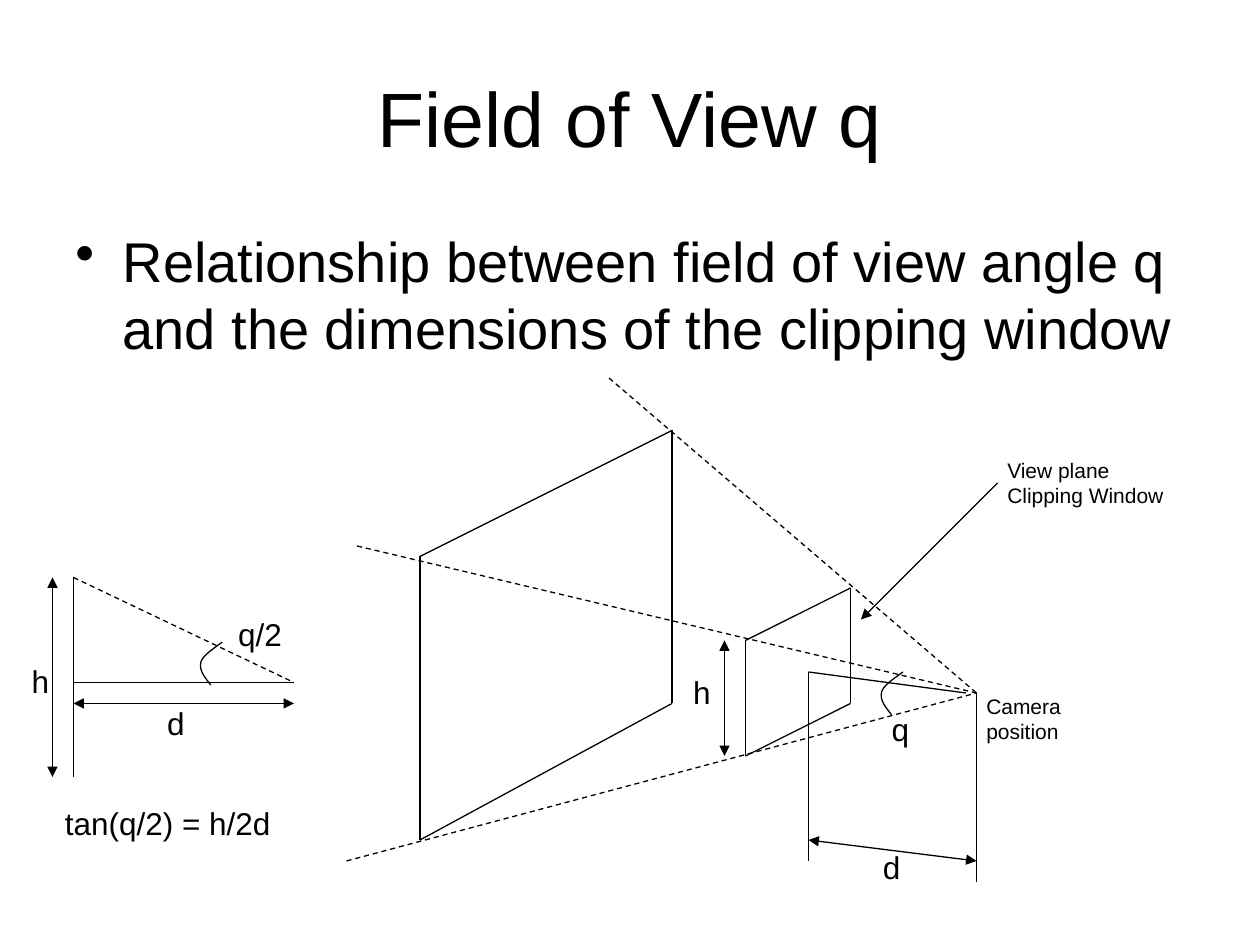
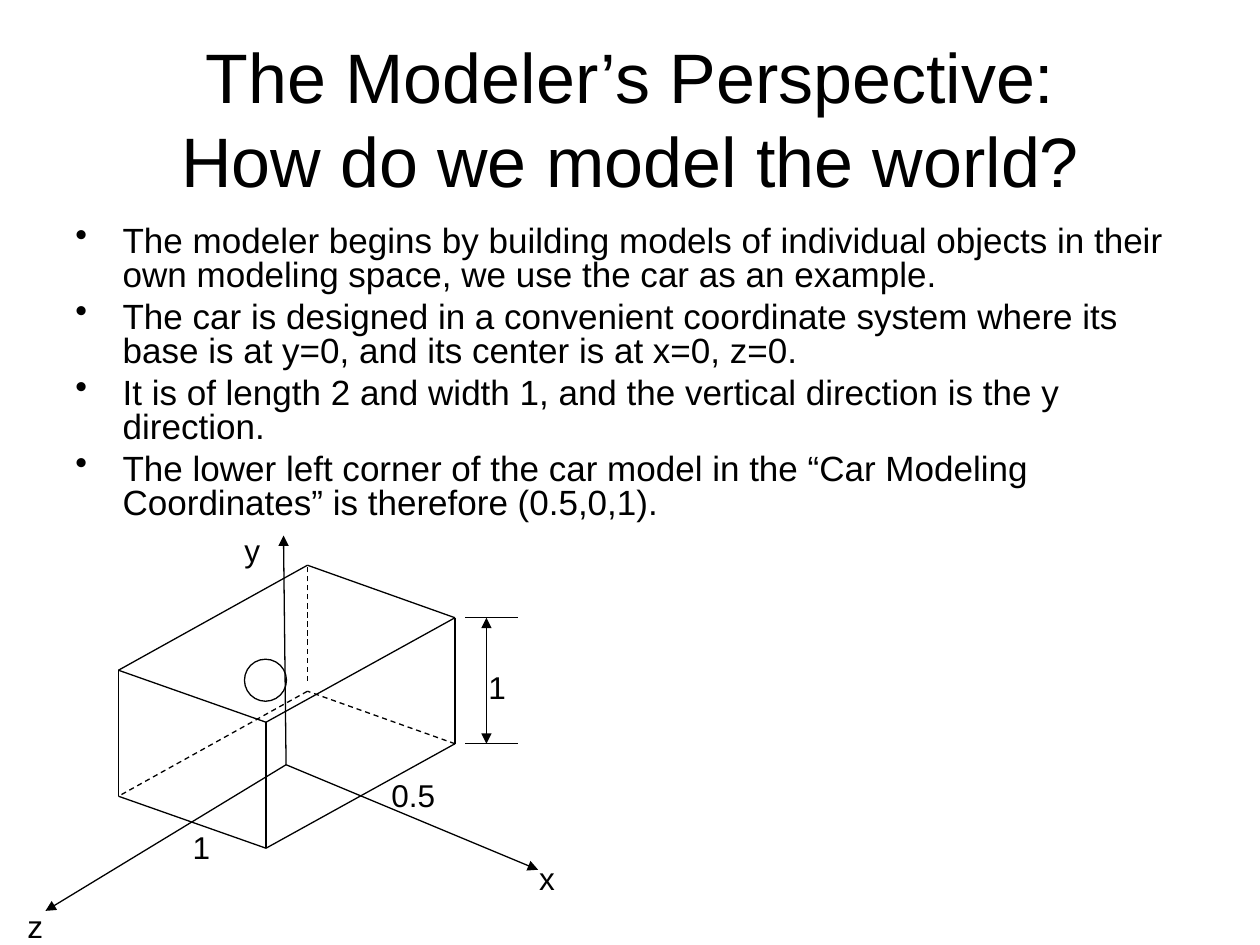
import pptx
import pptx.dml.color
import pptx.enum.dml
import pptx.enum.shapes
import pptx.enum.text
import pptx.oxml.ns
import pptx.oxml.xmlchemy
import pptx.util

Pt = pptx.util.Pt
BLACK = pptx.dml.color.RGBColor(0, 0, 0)
WHITE = pptx.dml.color.RGBColor(255, 255, 255)
FONT = "Arial"
ANCHOR = pptx.enum.text.MSO_ANCHOR
ALIGN = pptx.enum.text.PP_ALIGN
LINE_WIDTH = 0.75
INDENT = 27
ARC = (((13, 0), (7.2, 4.3), (1.4, 7.9), (0.7, 12)),
       ((0.7, 12), (0, 16.3), (2.9, 20), (6.5, 24.5)))


def set_attrs(obj, values):
    for name, value in values.items():
        setattr(obj, name, value)


def add_xml(parent, tag, **attrs):
    el = pptx.oxml.xmlchemy.OxmlElement(tag)
    for name, value in attrs.items():
        el.set(name, value)
    parent.append(el)


def add_slide(prs):
    s = prs.slides.add_slide(prs.slide_layouts[6])
    s.background.fill.solid()
    s.background.fill.fore_color.rgb = WHITE
    return s


def add_text(s, box, paragraphs, size, frame, para, bullet=False, gap=0):
    sp = s.shapes.add_textbox(*map(Pt, box))
    tf = sp.text_frame
    set_attrs(tf, frame)
    for i, text in enumerate(paragraphs):
        p = tf.add_paragraph() if i else tf.paragraphs[0]
        p.text = text
        if bullet:
            pPr = p._p.get_or_add_pPr()
            pPr.set("marL", str(Pt(INDENT)))
            pPr.set("indent", str(-Pt(INDENT)))
            add_xml(pPr, "a:buChar", char="•")
        set_attrs(p, {**para, "space_before": Pt(gap if i else 0)})
        for r in p.runs:
            set_attrs(r.font, {"name": FONT, "size": Pt(size)})
            r.font.color.rgb = BLACK


def add_title(s, top, height, text, size):
    add_text(s, (36, top, 648, height), [text], size,
             {"word_wrap": True, "vertical_anchor": ANCHOR.MIDDLE},
             {"alignment": ALIGN.CENTER})


def add_bullets(s, height, paragraphs, size, spacing=1.0, gap=0):
    add_text(s, (36, 126, 648, height), paragraphs, size, {"word_wrap": True},
             {"alignment": ALIGN.LEFT, "line_spacing": spacing}, True, gap)


def add_label(s, left, top, width, *lines, size=18):
    height = 7.2 + 1.2 * size * len(lines)
    add_text(s, (left, top, width, height), lines, size,
             {"word_wrap": False}, {"alignment": ALIGN.LEFT})


def style_line(sp, dashed=False):
    sp.line.color.rgb = BLACK
    sp.line.width = Pt(LINE_WIDTH)
    if dashed:
        sp.line.dash_style = pptx.enum.dml.MSO_LINE.DASH


def add_line(s, start, end, dashed=False, arrows=()):
    sp = s.shapes.add_connector(pptx.enum.shapes.MSO_CONNECTOR.STRAIGHT,
                                *map(Pt, start + end))
    style_line(sp, dashed)
    spPr = sp._element.spPr
    ln = spPr.find(pptx.oxml.ns.qn("a:ln"))
    for side in arrows:
        add_xml(ln, f"a:{side}End", type="triangle")
    add_xml(spPr, "a:effectLst")


def add_arrow(s, start, end):
    add_line(s, start, end, arrows=("tail",))


def add_dimension(s, start, end):
    add_line(s, start, end, arrows=("head", "tail"))


def add_outline(s, corners, hidden=None):
    for a, b in zip(corners, corners[1:] + corners[:1]):
        add_line(s, a, b, dashed=hidden in (a, b))


def bezier(curve, t):
    weights = ((1 - t) ** 3, 3 * t * (1 - t) ** 2, 3 * t * t * (1 - t), t ** 3)
    return tuple(sum(w * pt[axis] for w, pt in zip(weights, curve)) for axis in (0, 1))


def add_angle_arc(s, left, top, steps=12):
    points = [bezier(curve, i / steps) for curve in ARC for i in range(steps + 1)]
    points = [(Pt(left + x), Pt(top + y)) for x, y in points]
    fb = s.shapes.build_freeform(*points[0])
    fb.add_line_segments(points[1:], close=False)
    sp = fb.convert_to_shape()
    sp.shadow.inherit = False
    sp.fill.background()
    style_line(sp)


def add_circle(s, left, top, size):
    sp = s.shapes.add_shape(pptx.enum.shapes.MSO_SHAPE.OVAL, *map(Pt, (left, top, size, size)))
    sp.shadow.inherit = False
    sp.fill.background()
    style_line(sp)


def draw_frustum(s):
    camera = (558, 396)
    add_outline(s, [(426, 366), (486, 336), (486, 402), (426, 432)])
    add_outline(s, [(240, 318), (384, 246), (384, 402), (240, 480)])
    for far_end in ((198, 492), (204, 312), (348, 216)):
        add_line(s, far_end, camera, dashed=True)
    add_angle_arc(s, 503, 384)
    add_label(s, 502.5, 402, 25, "q")
    add_label(s, 556.5, 392.5, 101.5, "Camera position", size=12)
    add_arrow(s, (570, 276), (492, 354))
    add_label(s, 568.5, 258, 104, "View plane", "Clipping Window", size=12)
    add_line(s, (552, 396), (462, 384))
    add_line(s, (462, 384), (462, 492))
    add_line(s, camera, (558, 504))
    add_dimension(s, (462, 480), (558, 492))
    add_label(s, 497.5, 481, 24.5, "d")
    add_dimension(s, (414, 432), (414, 366))
    add_label(s, 389, 381, 24.5, "h")


def draw_half_angle_triangle(s):
    apex = (168, 390)
    add_line(s, apex, (42, 390))
    add_line(s, (42, 330), (42, 444))
    add_line(s, (42, 330), apex, dashed=True)
    add_angle_arc(s, 114, 367)
    add_label(s, 129, 348, 40, "q/2")
    add_label(s, 11, 375, 24.5, "h")
    add_dimension(s, (30, 444), (30, 330))
    add_dimension(s, (168, 402), (42, 402))
    add_label(s, 88.5, 399, 24.5, "d")
    add_label(s, 30, 456, 133, "tan(q/2) = h/2d")


def draw_axes(s):
    origin = (163.5, 437)
    for tip in ((307.5, 497), (26, 520.5), (162, 306)):
        add_arrow(s, origin, tip)
    add_label(s, 8.5, 515, 23, "z")
    add_label(s, 301, 487.5, 23, "x")
    add_label(s, 132.5, 300, 23, "y")


def draw_car_box(s):
    height = 72
    left, front, right, back = top = [(67.7, 383), (152, 412.7), (260, 353), (175.7, 323)]
    base = [(x, y + height) for x, y in top]
    add_outline(s, top)
    add_outline(s, base, hidden=base[3])
    for a, b in zip(top[:3], base):
        add_line(s, a, b)
    add_line(s, (back[0], 389), back, dashed=True)
    add_circle(s, 139.7, 376.7, 24)
    for y in (right[1], right[1] + height):
        add_line(s, (266, y), (296, y))
    add_dimension(s, (278, right[1] + height), (278, right[1]))
    add_label(s, 272, 378, 24.5, "1")
    add_label(s, 103, 469.5, 24.5, "1")
    add_label(s, 216.5, 440, 39.5, "0.5")


def main():
    prs = pptx.Presentation()
    set_attrs(prs, {"slide_width": Pt(720), "slide_height": Pt(540)})

    s = add_slide(prs)
    add_title(s, 21.6, 90, "Field of View q", 44)
    add_bullets(s, 96, ["Relationship between field of view angle q "
                        "and the dimensions of the clipping window"], 32)
    draw_frustum(s)
    draw_half_angle_triangle(s)

    s = add_slide(prs)
    add_title(s, 15, 104, "The Modeler’s Perspective:\vHow do we model the world?", 40)
    add_bullets(s, 198, [
        "The modeler begins by building models of individual objects in their own "
        "modeling space, we use the car as an example.",
        "The car is designed in a convenient coordinate system where its base is at "
        "y=0, and its center is at x=0, z=0.",
        "It is of length 2 and width 1, and the vertical direction is the y direction.",
        "The lower left corner of the car model in the “Car Modeling Coordinates” is "
        "therefore (0.5,0,1).",
    ], 20, spacing=0.8, gap=5)
    draw_axes(s)
    draw_car_box(s)

    prs.save("out.pptx")


if __name__ == "__main__":
    main()
